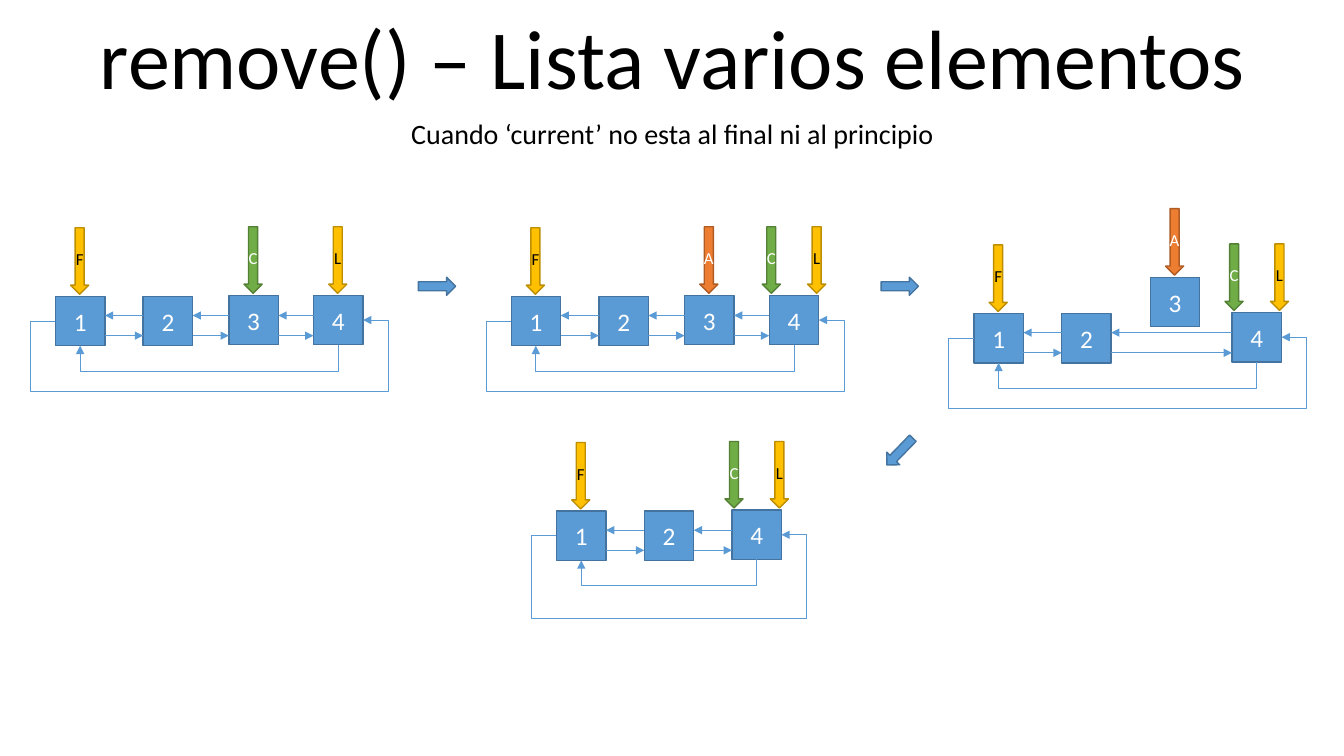
from lxml import etree
from pptx import Presentation
from pptx.dml.color import RGBColor
from pptx.enum.shapes import MSO_CONNECTOR, MSO_SHAPE
from pptx.enum.text import MSO_ANCHOR, MSO_AUTO_SIZE, PP_ALIGN
from pptx.oxml.ns import qn
from pptx.util import Inches, Pt

RECT, DOWN, RIGHT = MSO_SHAPE.RECTANGLE, MSO_SHAPE.DOWN_ARROW, MSO_SHAPE.RIGHT_ARROW
STRAIGHT, MIDDLE, CENTER = MSO_CONNECTOR.STRAIGHT, MSO_ANCHOR.MIDDLE, PP_ALIGN.CENTER
FIXED = MSO_AUTO_SIZE.NONE

TITLE = "remove() – Lista varios elementos"
NOTE = "Cuando ‘current’ no esta al final ni al principio"
BLUE, EDGE, BLACK, WHITE = "5B9BD5", "43739E", "000000", "FFFFFF"
KINDS = {
    "F": ("FFC000", "BD8E00", BLACK),
    "L": ("FFC000", "BD8E00", BLACK),
    "C": ("70AD47", "538035", WHITE),
    "A": ("ED7D31", "AF5C24", WHITE),
}
SIDE, STEM, TALL, LIFT = 0.49, 0.18, 0.66, 0.68
BACK, FORTH, INNER, REACH = 0.19, 0.39, 0.74, 0.25

FULL = {"1": (0, 0), "2": (0.87, 0), "3": (1.72, -0.01), "4": (2.56, -0.01)}
APART = {**FULL, "3": (1.75, -0.36)}
SHORT = {"1": (0, 0), "2": (0.87, 0), "4": (1.74, -0.01)}
FIRST = ("F", "1", 0.15)
ENDS = [FIRST, ("C", "4", -0.07), ("L", "4", 0.38)]
AUX = ("A", "3", 0.15)
STEPS = [
    (0.55, 2.94, FULL, "1234", [FIRST, ("C", "3", 0.15), ("L", "4", 0.15)], 0.94),
    (5.07, 2.94, FULL, "1234", ENDS + [AUX], 0.94),
    (9.66, 3.11, APART, "124", ENDS + [AUX], 0.94),
    (5.52, 5.07, SHORT, "124", ENDS, 1.06),
]
MOVES = [(4.15, 2.75, 0), (8.74, 2.75, 0), (8.74, 4.39, 134.1)]


def color(code):
    return RGBColor.from_string(code)


def write(shape, text, size, code):
    frame = shape.text_frame
    frame.text = text
    para = frame.paragraphs[0]
    para.alignment = CENTER
    font = para.runs[0].font
    font.name, font.size = "Calibri", Pt(size)
    font.color.rgb = color(code)
    return frame


def block(shapes, kind, box, fill, edge):
    shape = shapes.add_shape(kind, *map(Inches, box))
    shape.shadow.inherit = False
    shape.fill.solid()
    shape.fill.fore_color.rgb = color(fill)
    shape.line.color.rgb = color(edge)
    shape.line.width = Pt(1)
    return shape


def label(shape, text, size, code):
    frame = write(shape, text, size, code)
    frame.vertical_anchor = MIDDLE
    frame.word_wrap = False
    frame.margin_left = frame.margin_right = 0


def tip(line):
    line.line.color.rgb = color(BLUE)
    line.line.width = Pt(0.5)
    props = line._element.spPr
    etree.SubElement(props.find(qn("a:ln")), qn("a:tailEnd"), type="triangle")
    etree.SubElement(props, qn("a:effectLst"))


def link(shapes, start, end, y):
    tip(shapes.add_connector(STRAIGHT, *map(Inches, (start, y, end, y))))


def loop(shapes, points):
    spots = [(Inches(x), Inches(y)) for x, y in points]
    pen = shapes.build_freeform(*spots[0])
    pen.add_line_segments(spots[1:], close=False)
    shape = pen.convert_to_shape()
    shape.fill.background()
    tip(shape)


def draw(shapes, x, y, nodes, chain, marks, depth):
    spots = {name: (x + dx, y + dy) for name, (dx, dy) in nodes.items()}
    last, top = spots["4"]
    end, half = last + SIDE, SIDE / 2
    for name, (left, high) in spots.items():
        node = block(shapes, RECT, (left, high, SIDE, SIDE), BLUE, EDGE)
        label(node, name, 18, WHITE)
    for one, two in zip(chain, chain[1:]):
        start, stop = spots[one][0] + SIDE, spots[two][0]
        link(shapes, stop, start, y + BACK)
        link(shapes, start, stop, y + FORTH)
    loop(shapes, [(last + half, top + SIDE), (last + half, y + INNER),
                  (x + half, y + INNER), (x + half, y + SIDE)])
    loop(shapes, [(x, y + half), (x - REACH, y + half), (x - REACH, y + depth),
                  (end + REACH, y + depth), (end + REACH, top + half),
                  (end, top + half)])
    for name, node, shift in marks:
        left, high = spots[node]
        fill, edge, ink = KINDS[name]
        mark = block(shapes, DOWN, (left + shift, high - LIFT, STEM, TALL), fill, edge)
        label(mark, name, 12, ink)


def place(shape, box):
    shape.left, shape.top, shape.width, shape.height = map(Inches, box)


def main():
    deck = Presentation()
    deck.slide_width, deck.slide_height = Inches(13.33), Inches(7.5)
    slide = deck.slides.add_slide(deck.slide_layouts[5])
    shapes = slide.shapes
    place(shapes.title, (0.01, 0, 13.32, 1.11))
    frame = write(shapes.title, TITLE, 60, BLACK)
    frame.auto_size, frame.word_wrap = FIXED, True
    note = shapes.add_textbox(*map(Inches, (0.01, 1.11, 13.32, 0.44)))
    write(note, NOTE, 20, BLACK).word_wrap = True
    for step in STEPS:
        draw(shapes.add_group_shape().shapes, *step)
    for x, y, turn in MOVES:
        block(shapes, RIGHT, (x, y, 0.37, 0.18), BLUE, EDGE).rotation = turn
    deck.save("out.pptx")


if __name__ == "__main__":
    main()
